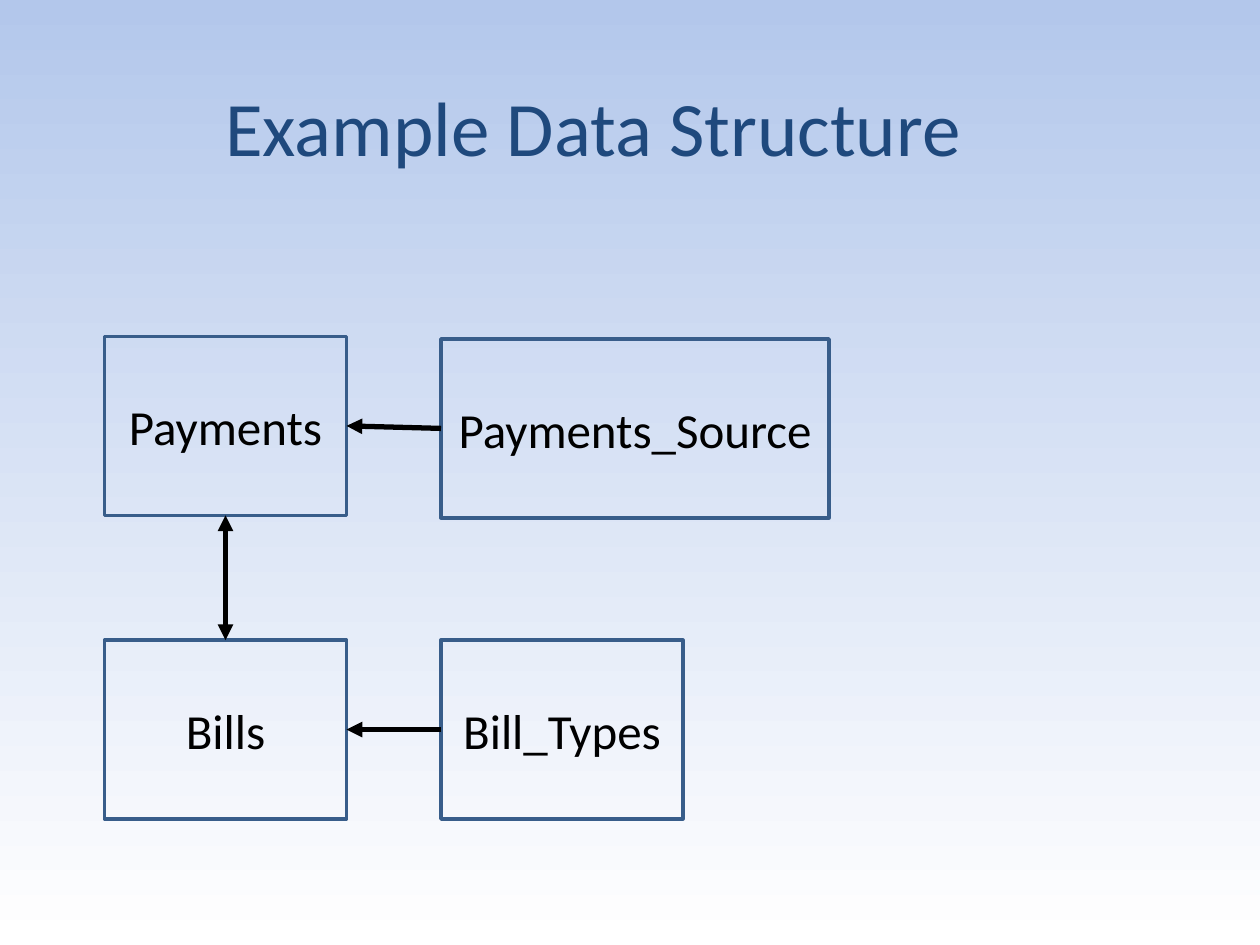
from dataclasses import dataclass

from pptx import Presentation
from pptx.dml.color import RGBColor
from pptx.enum.shapes import MSO_CONNECTOR as Connector, MSO_SHAPE as Shape
from pptx.enum.text import MSO_ANCHOR as Anchor, PP_ALIGN as Align
from pptx.oxml.ns import qn
from pptx.util import Inches, Pt
from lxml.etree import SubElement


@dataclass(frozen=True)
class Theme:
    font: str = "Calibri"
    title_size: int = 44
    box_size: int = 28
    title: str = "1F497D"
    ink: str = "000000"
    outline: str = "385D8A"
    sky: tuple = ("B3C7EB", "FFFFFF")
    outline_width: int = 2
    arrow_width: int = 3


THEME = Theme()
TITLE = "Example Data Structure"
BOX_HEIGHT = 1.42
TOP, LEFT, BOTTOM, RIGHT = range(4)  # connection sites of a rectangle

# name: (left, top, width)
TABLES = {
    "Payments": (0.83, 2.67, 1.92),
    "Payments_Source": (3.5, 2.69, 3.08),
    "Bills": (0.83, 5.08, 1.92),
    "Bill_Types": (3.5, 5.08, 1.92),
}
# from table, site, to table, site, arrowheads
RELATIONS = [
    ("Payments_Source", LEFT, "Payments", RIGHT, ["tailEnd"]),
    ("Bill_Types", LEFT, "Bills", RIGHT, ["tailEnd"]),
    ("Bills", TOP, "Payments", BOTTOM, ["headEnd", "tailEnd"]),
]


def rgb(code):
    return RGBColor.from_string(code)


def write(box, text, *, size, color):
    frame = box.text_frame
    frame.word_wrap = True
    frame.vertical_anchor = Anchor.MIDDLE
    para = frame.paragraphs[0]
    para.alignment = Align.CENTER
    span = para.add_run()
    span.text = text
    span.font.name = THEME.font
    span.font.size = Pt(size)
    span.font.color.rgb = rgb(color)


def paint_background(page):
    fill = page.background.fill
    fill.gradient()
    fill.gradient_angle = 270  # top to bottom
    for stop, position, color in zip(fill.gradient_stops, (0, 1), THEME.sky):
        stop.position = position
        stop.color.rgb = rgb(color)


def add_table_box(page, name, left, top, width):
    box = page.shapes.add_shape(
        Shape.RECTANGLE, Inches(left), Inches(top), Inches(width), Inches(BOX_HEIGHT))
    box.shadow.inherit = False
    box.fill.background()
    box.line.color.rgb = rgb(THEME.outline)
    box.line.width = Pt(THEME.outline_width)
    write(box, name, size=THEME.box_size, color=THEME.ink)
    return box


def add_arrow(page, start, start_site, end, end_site, heads):
    arrow = page.shapes.add_connector(Connector.STRAIGHT, 0, 0, 0, 0)
    arrow.begin_connect(start, start_site)
    arrow.end_connect(end, end_site)
    arrow.line.color.rgb = rgb(THEME.ink)
    arrow.line.width = Pt(THEME.arrow_width)
    line = arrow.line._get_or_add_ln()
    for head in heads:
        SubElement(line, qn(f"a:{head}"), type="triangle")
    SubElement(arrow._element.spPr, qn("a:effectLst"))


def main():
    deck = Presentation()
    deck.slide_width, deck.slide_height = Inches(10), Inches(7.5)
    page = deck.slides.add_slide(deck.slide_layouts[6])
    paint_background(page)
    title = page.shapes.add_textbox(0, Inches(0.5), Inches(9.42), Inches(1))
    write(title, TITLE, size=THEME.title_size, color=THEME.title)
    boxes = {name: add_table_box(page, name, *place) for name, place in TABLES.items()}
    for start, start_site, end, end_site, heads in RELATIONS:
        add_arrow(page, boxes[start], start_site, boxes[end], end_site, heads)
    deck.save("out.pptx")


if __name__ == "__main__":
    main()
